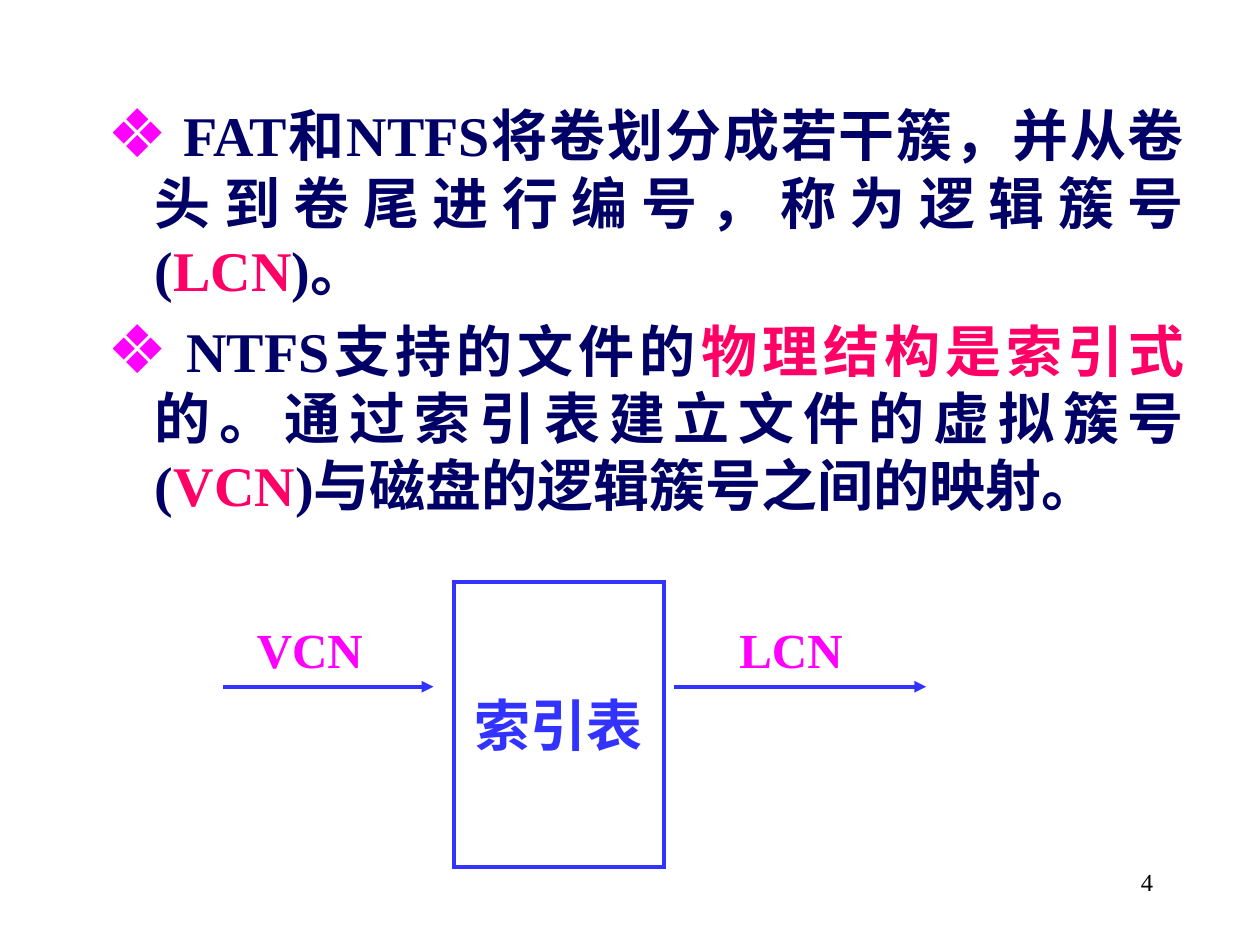
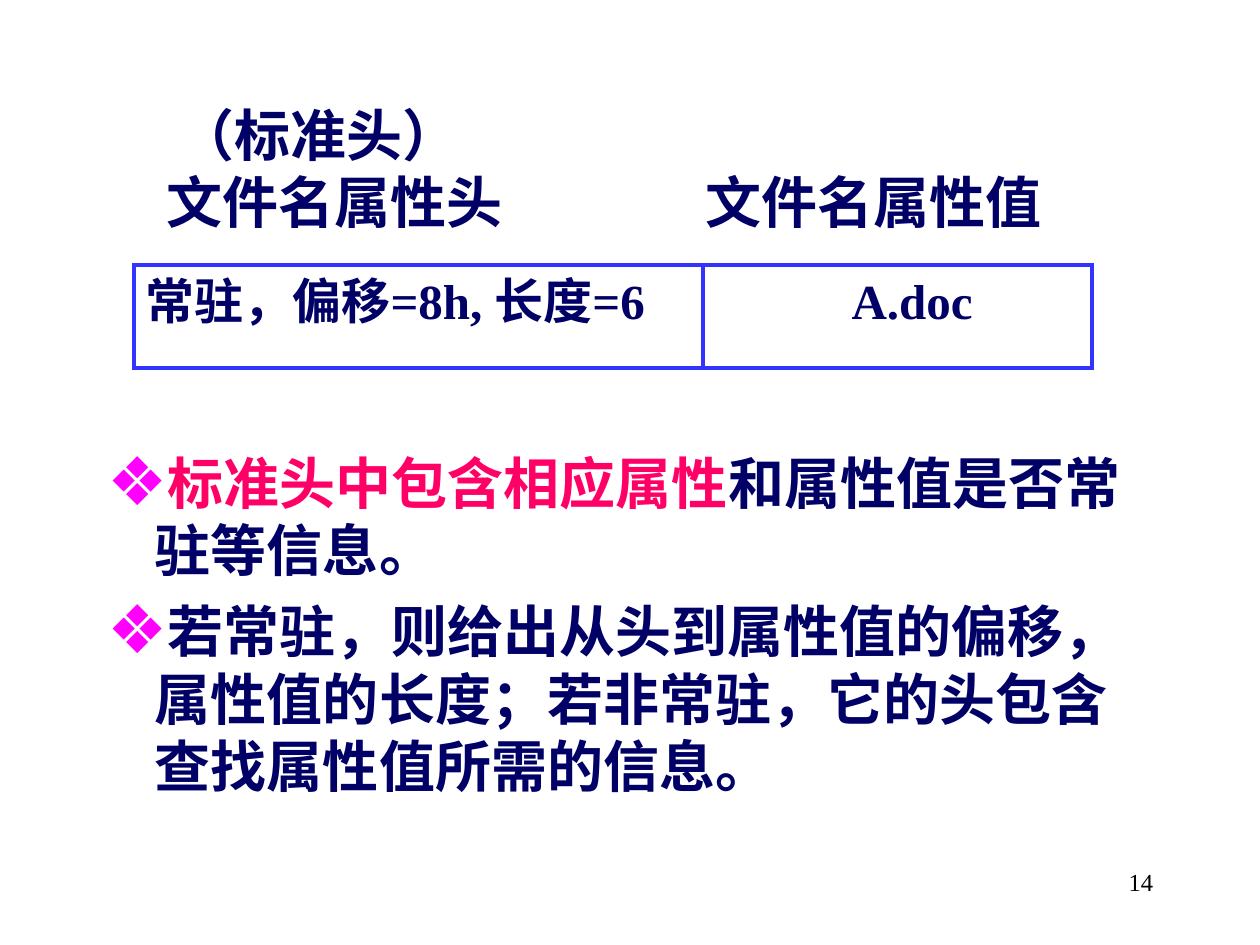
from lxml import etree
from pptx import Presentation
from pptx.dml.color import RGBColor
from pptx.enum import shapes, text
from pptx.oxml import ns
from pptx.util import Inches, Pt

NAVY = RGBColor(0x00, 0x00, 0x66)
PINK = RGBColor(0xFF, 0x00, 0x66)
MAGENTA = RGBColor(0xFF, 0x00, 0xFF)
BLUE = RGBColor(0x33, 0x33, 0xFF)
BLACK = RGBColor(0, 0, 0)
WHITE = RGBColor(0xFF, 0xFF, 0xFF)
FONT = "Times New Roman"
LINE_WIDTH = Pt(2.25)
LEFT, CENTER, RIGHT, JUSTIFY = (
    text.PP_ALIGN.LEFT, text.PP_ALIGN.CENTER, text.PP_ALIGN.RIGHT, text.PP_ALIGN.JUSTIFY)


def add_xml(parent, tag, **attributes):
    return etree.SubElement(parent, ns.qn(tag), attributes)


def style(font, size, color, bold=True):
    font.name, font.size, font.bold = FONT, Pt(size), bold
    font.color.rgb = color


def write(frame, lines, size, color, align=LEFT, bold=True, tab=None):
    """Fill a frame with one paragraph per line, with an optional tab stop in inches."""
    frame.text = "\n".join(lines)
    for para in frame.paragraphs:
        para.alignment = align
        if tab:
            stops = add_xml(para._p.get_or_add_pPr(), "a:tabLst")
            add_xml(stops, "a:tab", pos=str(Inches(tab)), algn="l")
        for span in para.runs:
            style(span.font, size, color, bold)


def add_label(page, box, lines, size, color, align=LEFT, bold=True, wrap=True):
    frame = page.shapes.add_textbox(*map(Inches, box)).text_frame
    frame.word_wrap = wrap
    write(frame, lines, size, color, align, bold)


def add_frame(page, box, outlined=True):
    """Add a white rectangle, with a sharp-cornered blue outline if wanted."""
    frame = page.shapes.add_shape(shapes.MSO_SHAPE.RECTANGLE, *map(Inches, box))
    frame.shadow.inherit = False
    frame.fill.solid()
    frame.fill.fore_color.rgb = WHITE
    frame.text_frame.vertical_anchor = text.MSO_ANCHOR.TOP
    if outlined:
        frame.line.color.rgb = BLUE
        frame.line.width = LINE_WIDTH
        add_xml(frame.line._get_or_add_ln(), "a:miter", lim="800000")
    else:
        frame.line.fill.background()
    return frame.text_frame


def add_line(page, start, end, arrow=False):
    line = page.shapes.add_connector(
        shapes.MSO_CONNECTOR.STRAIGHT, *map(Inches, (*start, *end)))
    line.line.color.rgb = BLUE
    line.line.width = LINE_WIDTH
    if arrow:
        add_xml(line.line._get_or_add_ln(), "a:tailEnd", type="triangle")
    add_xml(line._element.spPr, "a:effectLst")


def add_bullet(para):
    properties = para._p.get_or_add_pPr()
    properties.set("marL", str(Inches(0.38)))
    properties.set("indent", str(-Inches(0.38)))
    properties.set("hangingPunct", "0")
    add_xml(add_xml(properties, "a:buClr"), "a:srgbClr", val=str(MAGENTA))
    add_xml(properties, "a:buSzPct", val="120000")
    add_xml(properties, "a:buChar", char="❖")


def fill_body(page, box, points, align):
    """Write bulleted points, each a list of (words, color) spans."""
    body = page.placeholders[1]
    body.left, body.top, body.width, body.height = map(Inches, box)
    frame = body.text_frame
    frame.auto_size = text.MSO_AUTO_SIZE.NONE
    frame.vertical_anchor = text.MSO_ANCHOR.TOP
    for index, point in enumerate(points):
        para = frame.add_paragraph() if index else frame.paragraphs[0]
        add_bullet(para)
        para.alignment = align
        para.space_before = Pt(8 if index else 0)
        for words, color in point:
            span = para.add_run()
            span.text = words
            style(span.font, 32, color)


def add_page(deck, number):
    page = deck.slides.add_slide(deck.slide_layouts[1])
    title = page.shapes.title._element
    title.getparent().remove(title)
    add_label(page, (7.17, 6.83, 2.08, 0.5), [number], 14, BLACK, RIGHT, bold=False)
    return page


def add_mapping_diagram(page, left, top):
    """Draw VCN going into the index table and LCN coming out."""
    table = add_frame(page, (left + 1.83, top, 1.67, 2.26))
    table.vertical_anchor = text.MSO_ANCHOR.MIDDLE
    write(table, ["索引表"], 32, BLUE, CENTER)
    arrow_y = top + 0.83
    for name, label_x, start, end in (("VCN", 0.17, 0, 1.67), ("LCN", 4, 3.58, 5.58)):
        add_label(page, (left + label_x, top + 0.25, 1.04, 0.57), [name],
                  28, MAGENTA, wrap=False)
        add_line(page, (left + start, arrow_y), (left + end, arrow_y), arrow=True)


def add_attribute_record(page, left, top):
    """Draw the file name attribute: headings above a box split in two."""
    box_top, height = top + 1.35, 0.82
    record = add_frame(page, (left, box_top, 7.61, height))
    write(record, ["常驻，偏移=8h, 长度=6\tA.doc"], 28, NAVY, tab=5.6)
    headings = add_frame(page, (left + 0.16, top, 7.61, 1.07), outlined=False)
    write(headings, [" （标准头）", "文件名属性头\t文件名属性值"], 32, NAVY, tab=4.28)
    divider_x = left + 4.52
    add_line(page, (divider_x, box_top), (divider_x, box_top + height))


def build_mapping_page(deck):
    page = add_page(deck, "4")
    fill_body(page, (0.75, 0.75, 8.75, 3.92), [
        [(" FAT和NTFS将卷划分成若干簇，并从卷头到卷尾进行编号，称为逻辑簇号(", NAVY),
         ("LCN", PINK), (")。", NAVY)],
        [(" NTFS支持的文件的", NAVY), ("物理结构是索引式", PINK),
         ("的。通过索引表建立文件的虚拟簇号(", NAVY), ("VCN", PINK),
         (")与磁盘的逻辑簇号之间的映射。", NAVY)],
    ], JUSTIFY)
    add_mapping_diagram(page, 1.77, 4.62)


def build_attribute_page(deck):
    page = add_page(deck, "14")
    fill_body(page, (0.75, 3.51, 8.58, 3.15), [
        [("标准头中包含相应属性", PINK), ("和属性值是否常驻等信息。", NAVY)],
        [("若常驻，则给出从头到属性值的偏移，属性值的长度；"
          "若非常驻，它的头包含查找属性值所需的信息。", NAVY)],
    ], LEFT)
    add_attribute_record(page, 1.06, 0.75)


def main():
    deck = Presentation()
    deck.slide_width, deck.slide_height = Inches(10), Inches(7.5)
    build_mapping_page(deck)
    build_attribute_page(deck)
    deck.save("out.pptx")


if __name__ == "__main__":
    main()
